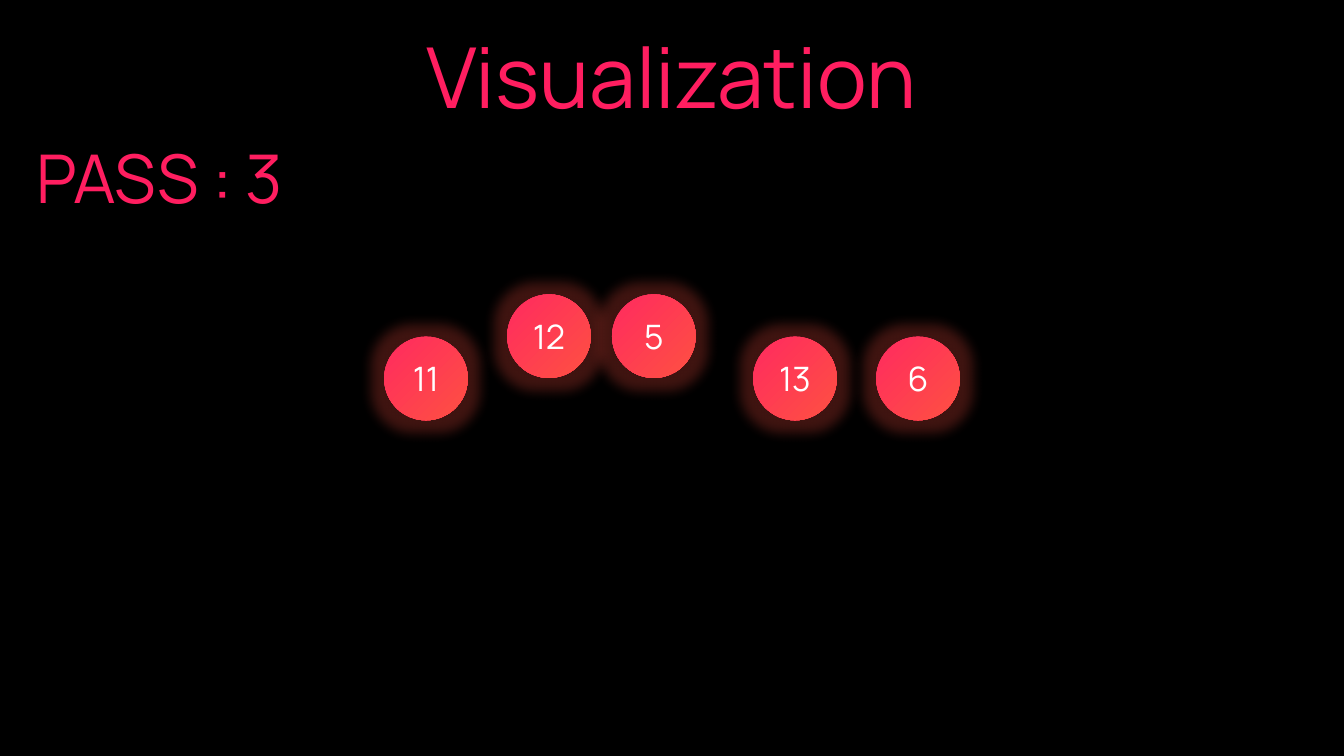
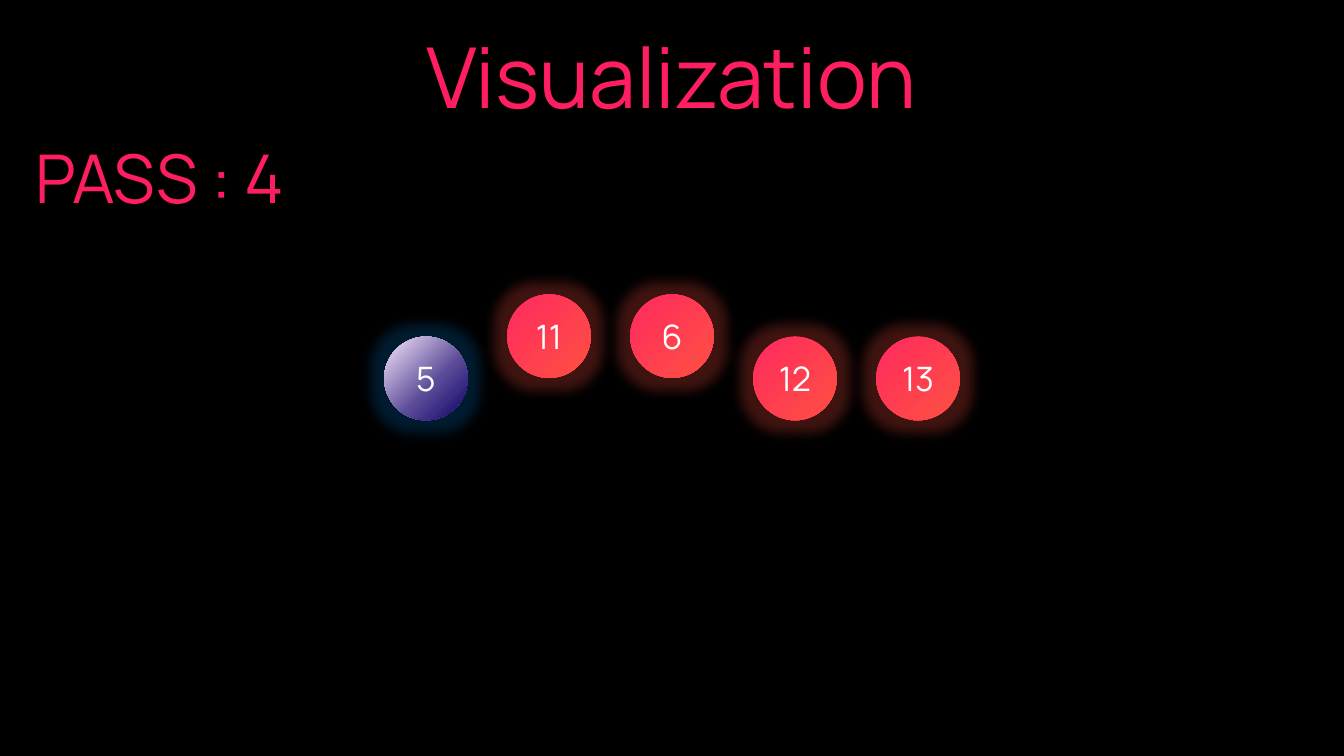
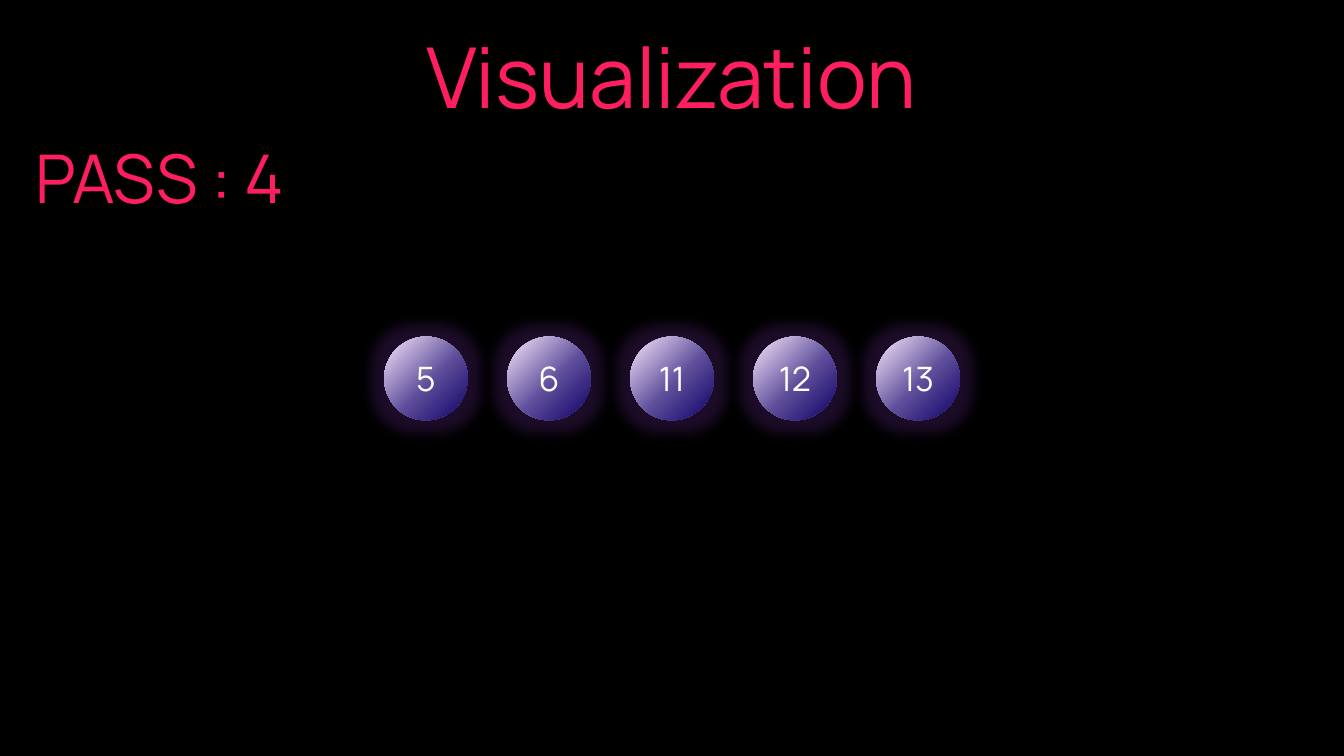
from pptx import Presentation, util as u
from pptx.dml.color import RGBColor
from pptx.enum import shapes, text
from pptx.oxml import parse_xml
from pptx.oxml.ns import nsdecls, qn

FONT = "Manrope"
BLACK, WHITE = "000000", "FFFFFF"
HEADING_STOPS = [(0, "FF1E60"), (100, "FE5140")]
CORNER = ('<a:path path="circle"><a:fillToRect t="100000" r="100000"/></a:path>'
          '<a:tileRect l="-100000" b="-100000"/>')
DIAGONAL = '<a:lin ang="2700000" scaled="0"/>'

STYLES = {
    "unsorted": {"stops": [(0, "FF2A5F"), (100, "FE5142")], "glow": "FE5142"},
    "placed": {"stops": [(0, "FCEAFF"), (58, "5B4B98"), (100, "0F0068")], "glow": "0070C0"},
    "sorted": {"stops": [(0, "FCEAFF"), (55, "5D4D9A"), (100, "0F0068")], "glow": "7030A0"},
}
GLOW_POINTS, GLOW_ALPHA = 18, 25

TITLE = "Visualization"
PASSES = [
    {"label": "PASS : 3", "numbers": [11, 12, 5, 13, 6],
     "styles": ["unsorted"] * 5, "raised": {1: 0, 2: -0.18}},
    {"label": "PASS : 4", "numbers": [5, 11, 6, 12, 13],
     "styles": ["placed"] + ["unsorted"] * 4, "raised": {1: 0, 2: 0}},
    {"label": "PASS : 4", "numbers": [5, 6, 11, 12, 13],
     "styles": ["sorted"] * 5, "raised": {}},
]

TITLE_BOX = (3.81, 0.19, 5.71, 1.11)
LABEL_BOX = (0.16, 1.3, 2.85, 0.91)
ROW_LEFT, ROW_TOP, PITCH, DIAMETER, LIFT = 3.81, 3.34, 1.22, 0.83, 0.42


def color(value):
    return RGBColor.from_string(value)


def inches(box):
    return [u.Inches(value) for value in box]


def set_gradient(fill, parent, stops, direction):
    fill.gradient()
    marks = "".join(f'<a:gs pos="{pos * 1000}"><a:srgbClr val="{value}"/></a:gs>'
                    for pos, value in stops)
    gradient = parse_xml(f'<a:gradFill {nsdecls("a")} rotWithShape="1">'
                         f'<a:gsLst>{marks}</a:gsLst>{direction}</a:gradFill>')
    parent.replace(parent.find(qn("a:gradFill")), gradient)


def write(shape, content, size, anchor):
    frame = shape.text_frame
    settings = {"word_wrap": False, "auto_size": text.MSO_AUTO_SIZE.NONE,
                "vertical_anchor": anchor}
    for name, value in settings.items():
        setattr(frame, name, value)
    paragraph = frame.paragraphs[0]
    paragraph.alignment = text.PP_ALIGN.CENTER
    run = paragraph.add_run()
    run.text = content
    for name, value in {"size": u.Pt(size), "name": FONT}.items():
        setattr(run.font, name, value)
    return run


def write_heading(shape, content, size):
    run = write(shape, content, size, text.MSO_ANCHOR.TOP)
    set_gradient(run.font.fill, run._r.get_or_add_rPr(), HEADING_STOPS, CORNER)


def add_ball(slide, number, style, left, top):
    ball = slide.shapes.add_shape(shapes.MSO_SHAPE.OVAL,
                                  *inches((left, top, DIAMETER, DIAMETER)))
    properties = ball._element.spPr
    set_gradient(ball.fill, properties, style["stops"], DIAGONAL)
    ball.line.fill.background()
    ball.shadow.inherit = False
    properties.find(qn("a:effectLst")).append(parse_xml(
        f'<a:glow {nsdecls("a")} rad="{u.Pt(GLOW_POINTS)}"><a:srgbClr val="{style["glow"]}">'
        f'<a:alpha val="{GLOW_ALPHA * 1000}"/></a:srgbClr></a:glow>'))
    run = write(ball, str(number), 24, text.MSO_ANCHOR.MIDDLE)
    run.font.color.rgb = color(WHITE)


def add_pass(deck, step):
    slide = deck.slides.add_slide(deck.slide_layouts[5])
    title = slide.shapes.title
    for name, value in zip(("left", "top", "width", "height"), inches(TITLE_BOX)):
        setattr(title, name, value)
    write_heading(title, TITLE, 60)
    write_heading(slide.shapes.add_textbox(*inches(LABEL_BOX)), step["label"], 48)
    for place, (number, style) in enumerate(zip(step["numbers"], step["styles"])):
        left = ROW_LEFT + place * PITCH + step["raised"].get(place, 0)
        top = ROW_TOP - LIFT * (place in step["raised"])
        add_ball(slide, number, STYLES[style], left, top)


def main():
    deck = Presentation()
    deck.slide_width, deck.slide_height = inches((13.33, 7.5))
    backdrop = deck.slide_master.background.fill
    backdrop.solid()
    backdrop.fore_color.rgb = color(BLACK)
    for step in PASSES:
        add_pass(deck, step)
    deck.save("out.pptx")


if __name__ == "__main__":
    main()
